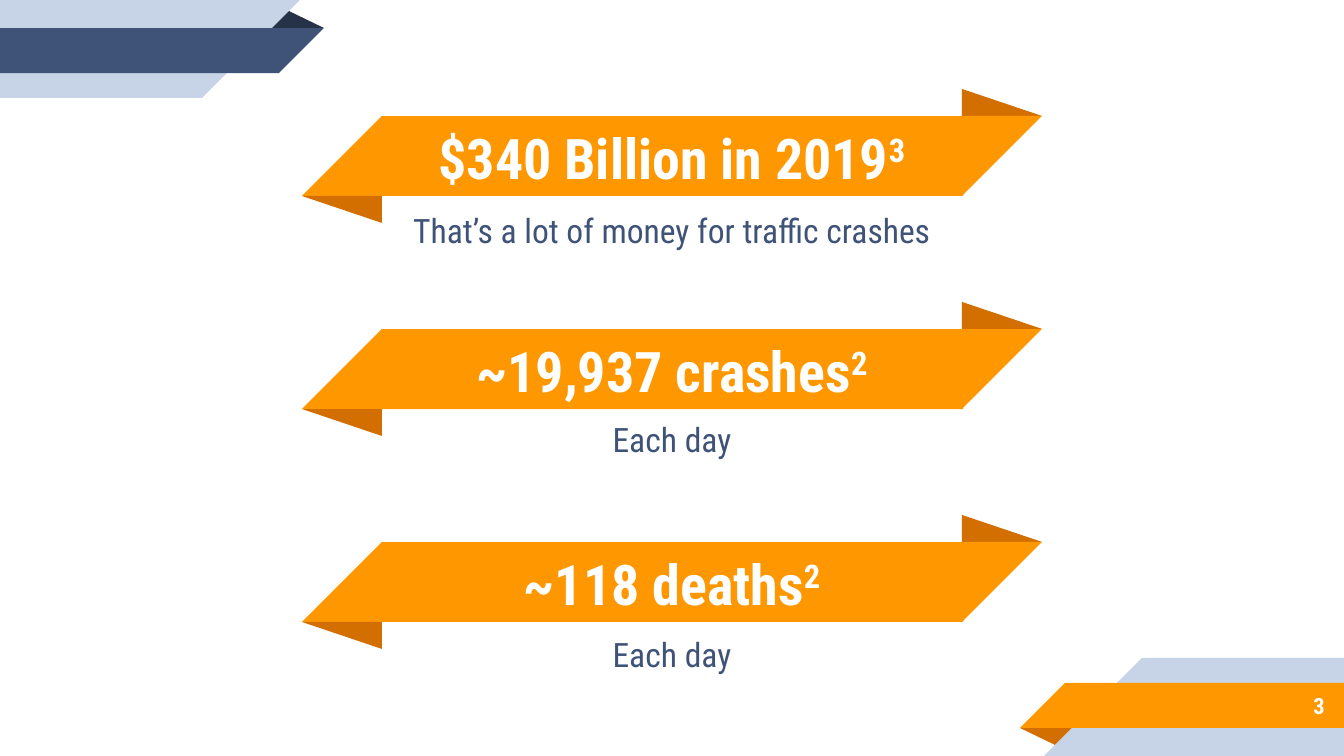
"""Build the slide of traffic crash figures on three ribbons."""
import dataclasses

import pptx
import pptx.dml.color
import pptx.enum.shapes
import pptx.enum.text
import pptx.util

SHAPE = pptx.enum.shapes.MSO_SHAPE
ALIGN = pptx.enum.text.PP_ALIGN
WIDTH, HEIGHT = 1344, 756


@dataclasses.dataclass(frozen=True)
class Theme:
    font: str = "Roboto Condensed"
    orange: str = "FF9800"
    dark_orange: str = "D26F00"
    navy: str = "3F5378"
    dark_navy: str = "263248"
    pale: str = "C7D3E6"
    white: str = "FFFFFF"
    headline: int = 30
    caption: int = 18
    number: int = 12


THEME = Theme()


def px(n):
    return pptx.util.Emu(round(n * 914400 / 134.4))


def rgb(color):
    return pptx.dml.color.RGBColor.from_string(color)


def add_piece(slide, kind, box, color, turned=False, flipped=False, peak=None):
    sp = slide.shapes.add_shape(kind, *map(px, box))
    sp.shadow.inherit = False
    sp.fill.solid()
    sp.fill.fore_color.rgb = rgb(color)
    sp.line.fill.background()
    sp.rotation = 180 if turned else 0
    if flipped:
        sp.element.spPr.xfrm.set("flipH", "1")
    if peak is not None:
        sp.adjustments[0] = peak


def add_corner(slide, band, fold, opposite=False):
    def place(x, y, w, h):
        return (WIDTH - x - w, HEIGHT - y - h, w, h) if opposite else (x, y, w, h)

    add_piece(slide, SHAPE.ISOSCELES_TRIANGLE, place(266, 9, 58, 19), fold,
              turned=opposite, peak=0.324)
    for y, length, size, color in ((0, 202, 98, THEME.pale), (28, 279, 45, band)):
        add_piece(slide, SHAPE.RECTANGLE, place(0, y, length, size), color,
                  turned=not opposite, flipped=True)
        add_piece(slide, SHAPE.RIGHT_TRIANGLE, place(length, y, size, size), color,
                  turned=not opposite, flipped=True)


def add_ribbon(slide, top):
    left, right, size, fold = 302, 962, 80, 27
    add_piece(slide, SHAPE.ISOSCELES_TRIANGLE, (right, top - fold, size, fold),
              THEME.dark_orange, peak=0)
    add_piece(slide, SHAPE.RECTANGLE, (381, top, 582, size), THEME.orange,
              turned=True, flipped=True)
    for x in (right, left):
        add_piece(slide, SHAPE.RIGHT_TRIANGLE, (x, top, size, size), THEME.orange,
                  turned=x == right, flipped=True)
    add_piece(slide, SHAPE.ISOSCELES_TRIANGLE, (left, top + size, size, fold),
              THEME.dark_orange, turned=True, peak=0)


def add_run(p, text, size, color, bold, raised=False):
    r = p.add_run()
    r.text = text
    r.font.name = THEME.font
    r.font.size = pptx.util.Pt(size)
    r.font.bold = bold
    r.font.color.rgb = rgb(color)
    if raised:
        r.font._element.set("baseline", "30000")


def set_frame(sp, box, align):
    sp.left, sp.top, sp.width, sp.height = map(px, box)
    tf = sp.text_frame
    tf.word_wrap = True
    tf.auto_size = pptx.enum.text.MSO_AUTO_SIZE.NONE
    tf.vertical_anchor = pptx.enum.text.MSO_ANCHOR.MIDDLE
    inset = pptx.util.Inches(0.1)
    tf.margin_left = tf.margin_top = tf.margin_right = tf.margin_bottom = inset
    p = tf.paragraphs[0]
    p.alignment = align
    return p


def add_text_box(slide):
    return slide.shapes.add_textbox(0, 0, 0, 0)


def add_headline(sp, top, text, note):
    p = set_frame(sp, (384, top + 2, 576, 78), ALIGN.CENTER)
    add_run(p, text, THEME.headline, THEME.white, True)
    add_run(p, note, THEME.headline, THEME.white, True, raised=True)


def add_caption(slide, top, height, text):
    p = set_frame(add_text_box(slide), (384, top, 576, height), ALIGN.CENTER)
    p.space_before = pptx.util.Pt(6)
    p.space_after = pptx.util.Pt(10)
    add_run(p, text, THEME.caption, THEME.navy, False)


def add_number(slide, text):
    p = set_frame(add_text_box(slide), (1119, 682, 219, 47), ALIGN.RIGHT)
    add_run(p, text, THEME.number, THEME.white, True)


def main():
    prs = pptx.Presentation()
    prs.slide_width, prs.slide_height = px(WIDTH), px(HEIGHT)
    slide = prs.slides.add_slide(prs.slide_layouts[5])
    title = slide.shapes.title

    add_corner(slide, THEME.navy, THEME.dark_navy)
    add_corner(slide, THEME.orange, THEME.dark_orange, opposite=True)

    facts = (
        ("$340 Billion in 2019", "3", "That’s a lot of money for traffic crashes", 196, 69),
        ("~19,937 crashes", "2", "Each day", 409, 60),
        ("~118 deaths", "2", "Each day", 624, 60),
    )
    for i, (text, note, caption, caption_top, caption_height) in enumerate(facts):
        top = 116 + 213 * i
        add_ribbon(slide, top)
        if i == 0:
            title.element.getparent().append(title.element)
        add_headline(title if i == 0 else add_text_box(slide), top, text, note)
        add_caption(slide, caption_top, caption_height, caption)
    add_number(slide, "3")

    prs.save("out.pptx")


if __name__ == "__main__":
    main()
